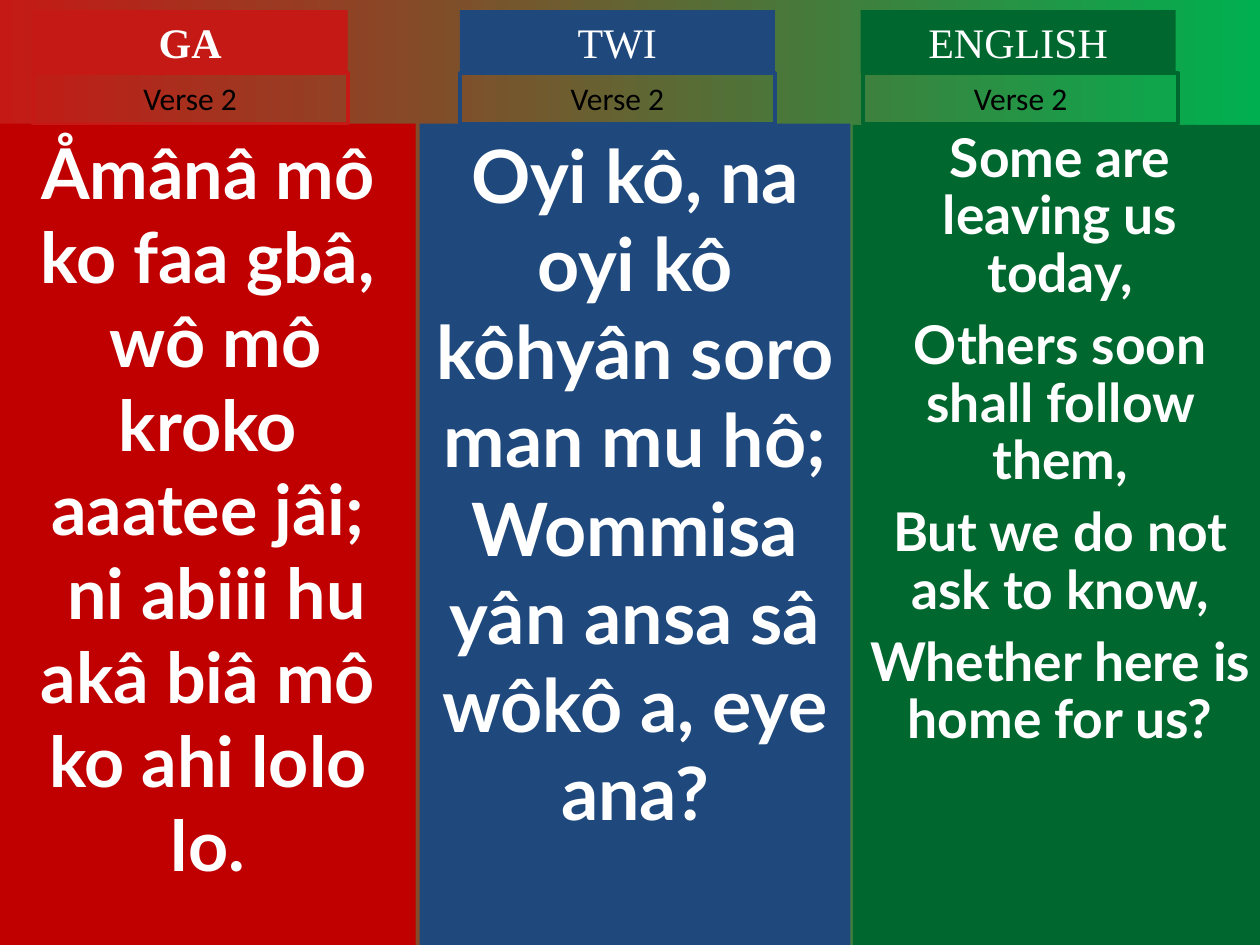
"""Build a slide with one hymn verse in three languages side by side."""
from dataclasses import dataclass

from pptx import Presentation
from pptx.dml.color import RGBColor
from pptx.enum.shapes import MSO_SHAPE
from pptx.enum.text import MSO_ANCHOR, PP_ALIGN
from pptx.util import Pt

RECT = MSO_SHAPE.RECTANGLE
TOP = MSO_ANCHOR.TOP
CENTER = PP_ALIGN.CENTER
WHITE = "FFFFFF"
BLACK = "000000"


@dataclass
class Verse:
    """One language column."""
    name: str
    lines: list[str]
    fill: str
    tint: str
    left: float
    top: float
    width: float
    size: float
    head: float
    sub: float
    bold: bool = False
    lead: float = 1.0
    gap: float = 0


VERSES = [
    Verse("GA",
          ["Åmânâ mô ko faa gbâ,", " wô mô kroko aaatee jâi;",
           " ni abiii hu akâ biâ mô ko ahi lolo lo."],
          "C00000", "C51915", 0, 70.6, 237.6, 40, 18.7, 18.7, bold=True),
    Verse("TWI",
          ["Oyi kô, na oyi kô kôhyân soro man mu hô;",
           "Wommisa yân ansa sâ wôkô a, eye ana?"],
          "1F497D", "1F497D", 239.8, 70.6, 246.2, 42, 262.8, 262.8),
    Verse("ENGLISH",
          ["Some are leaving us today,", "Others soon shall follow them,",
           "But we do not ask to know,", "Whether here is home for us?"],
          "00682F", "00682F", 487.4, 71.3, 236.9, 30.5, 491.8, 493.2,
          lead=0.9, gap=8.2),
]


def tone(code: str) -> RGBColor:
    """Turn a hex string into a colour."""
    return RGBColor.from_string(code)


def box(slide, left: float, top: float, width: float, height: float,
        fill: str | None = None, line: str | None = None):
    """Draw a plain rectangle and return its text frame."""
    shape = slide.shapes.add_shape(
        RECT, Pt(left), Pt(top), Pt(width), Pt(height))
    shape.shadow.inherit = False
    if fill:
        shape.fill.solid()
        shape.fill.fore_color.rgb = tone(fill)
    else:
        shape.fill.background()
    if line:
        shape.line.color.rgb = tone(line)
        shape.line.width = Pt(2.25)
    else:
        shape.line.fill.background()
    return shape.text_frame


def write(frame, lines: list[str], font: str = "Lato", size: float = 18,
          color: str = WHITE, bold: bool = False, lead: float = 1.0,
          gap: float = 0) -> None:
    """Write centred paragraphs from the top of a frame."""
    frame.word_wrap = True
    frame.vertical_anchor = TOP
    for i, line in enumerate(lines):
        para = frame.add_paragraph() if i else frame.paragraphs[0]
        para.alignment = CENTER
        para.line_spacing = lead
        para.space_before = Pt(gap if i else 0)
        run = para.add_run()
        run.text = line
        run.font.name = font
        run.font.size = Pt(size)
        run.font.bold = bold
        run.font.color.rgb = tone(color)


def draw(slide, verse: Verse) -> None:
    """Draw a column: panel, language name and verse label."""
    panel = box(slide, verse.left, verse.top, verse.width,
                540 - verse.top, fill=verse.fill)
    write(panel, verse.lines, size=verse.size, bold=True,
          lead=verse.lead, gap=verse.gap)
    head = box(slide, verse.head, 5.8, 180, 36, fill=verse.tint)
    write(head, [verse.name], font="Times New Roman", size=24,
          bold=verse.bold)
    label = box(slide, verse.sub, 41.8, 180, 28.8, line=verse.tint)
    write(label, ["Verse 2"], font="Calibri", color=BLACK)


def main() -> None:
    """Build and save the slide."""
    deck = Presentation()
    deck.slide_width, deck.slide_height = Pt(720), Pt(540)
    slide = deck.slides.add_slide(deck.slide_layouts[6])
    back = slide.background.fill
    back.gradient()
    back.gradient_angle = 0
    for stop, code, place in zip(
            back.gradient_stops, ("C51915", "00B050"), (0, 1)):
        stop.color.rgb = tone(code)
        stop.position = place
    for verse in VERSES:
        draw(slide, verse)
    deck.save("out.pptx")


if __name__ == "__main__":
    main()
